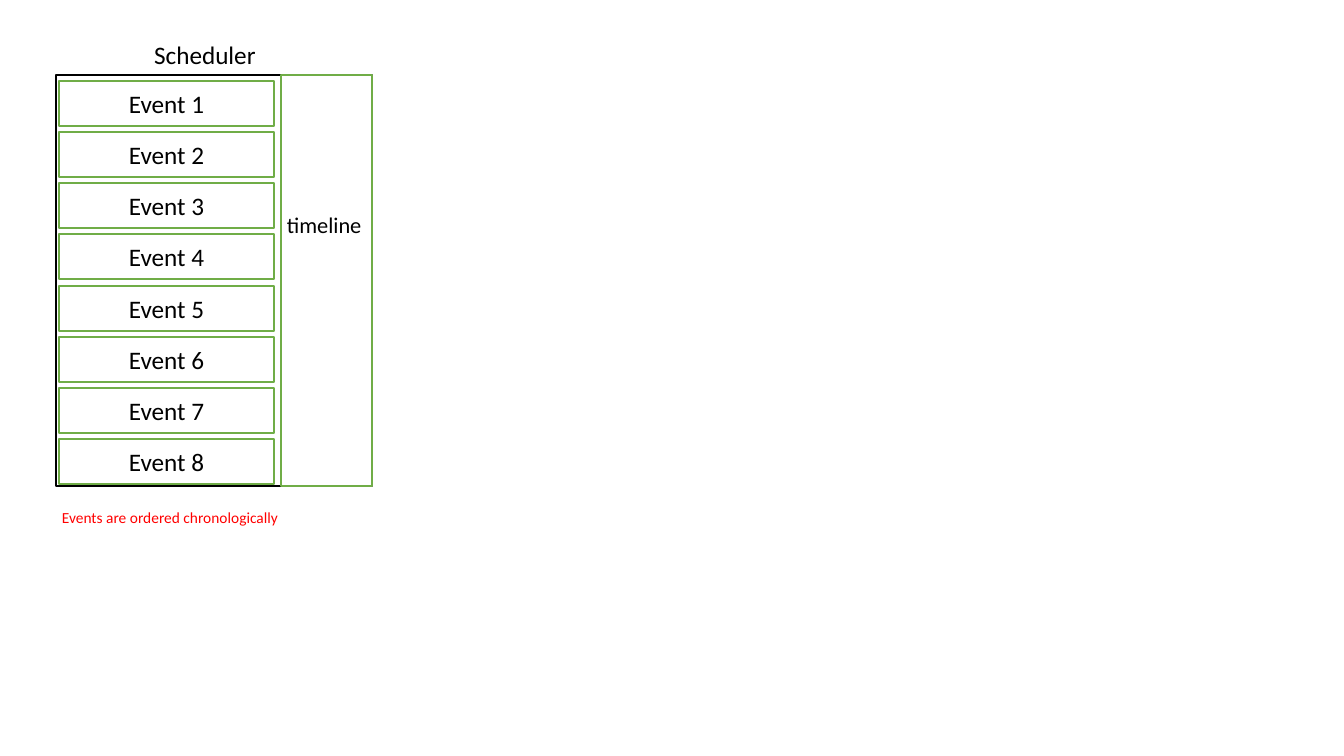
import pptx
import pptx.dml.color
import pptx.enum.shapes
import pptx.enum.text
import pptx.util

EMU_PER_PIXEL = 914400 / 100.8
ALIGN = pptx.enum.text.PP_ALIGN
ANCHOR = pptx.enum.text.MSO_ANCHOR


def px(pixels):
    """Turn pixels into EMU."""
    return pptx.util.Emu(round(pixels * EMU_PER_PIXEL))


def paint(color_format, hex_color):
    """Give a colour format a hex colour."""
    color_format.rgb = pptx.dml.color.RGBColor.from_string(hex_color)


def write(frame, text, size=18, color="000000", align=ALIGN.LEFT,
          anchor=ANCHOR.TOP, wrap=True, font="Calibri"):
    """Put formatted text into a text frame."""
    frame.word_wrap = wrap
    frame.auto_size = pptx.enum.text.MSO_AUTO_SIZE.NONE
    frame.vertical_anchor = anchor
    paragraph = frame.paragraphs[0]
    paragraph.alignment = align
    paragraph.line_spacing = 1.0
    paragraph.space_before = pptx.util.Pt(0)
    run = paragraph.add_run()
    run.text = text
    run.font.name = font
    run.font.size = pptx.util.Pt(size)
    paint(run.font.color, color)


class Diagram:
    """Holds the style and the current slide."""

    black, green, red, white = "000000", "70AD47", "FF0000", "FFFFFF"

    def __init__(self, slide):
        """Draw on the given slide."""
        self.slide = slide

    def title(self, text, left, top, width, height):
        """Place and fill the title placeholder."""
        heading = self.slide.shapes.title
        heading.left, heading.top = px(left), px(top)
        heading.width, heading.height = px(width), px(height)
        write(heading.text_frame, text, wrap=False)

    def box(self, left, top, width, height, line, text=None):
        """Add a white outlined rectangle, with centred text if any."""
        rectangle = self.slide.shapes.add_shape(
            pptx.enum.shapes.MSO_SHAPE.RECTANGLE,
            px(left), px(top), px(width), px(height))
        rectangle.shadow.inherit = False
        rectangle.fill.solid()
        paint(rectangle.fill.fore_color, self.white)
        paint(rectangle.line.color, line)
        rectangle.line.width = pptx.util.Pt(1)
        if text:
            write(rectangle.text_frame, text, align=ALIGN.CENTER,
                  anchor=ANCHOR.MIDDLE)

    def label(self, text, left, top, width, height, **text_format):
        """Add a plain text box."""
        caption = self.slide.shapes.add_textbox(
            px(left), px(top), px(width), px(height))
        write(caption.text_frame, text, **text_format)


def main():
    """Build and save the scheduler slide."""
    deck = pptx.Presentation()
    deck.slide_width, deck.slide_height = px(1344), px(756)
    title_only = deck.slide_layouts[5]
    diagram = Diagram(deck.slides.add_slide(title_only))

    diagram.title("Scheduler", 144, 34, 123, 40)
    scheduler_top, scheduler_height = 75, 411
    diagram.box(56, scheduler_top, 316, scheduler_height, diagram.black)
    diagram.box(281, scheduler_top, 91, scheduler_height, diagram.green)
    diagram.label("timeline", 277, 206, 108, 37, size=16)

    event_count, first_top, last_top = 8, 81, 439
    event_pitch = (last_top - first_top) / (event_count - 1)
    for index in range(event_count):
        event_top = round(first_top + index * event_pitch)
        diagram.box(59, event_top, 215, 45, diagram.green, f"Event {index + 1}")

    diagram.label("Events are ordered chronologically", 52, 503, 322, 29,
                  size=11, color=diagram.red)
    deck.save("out.pptx")


main()
